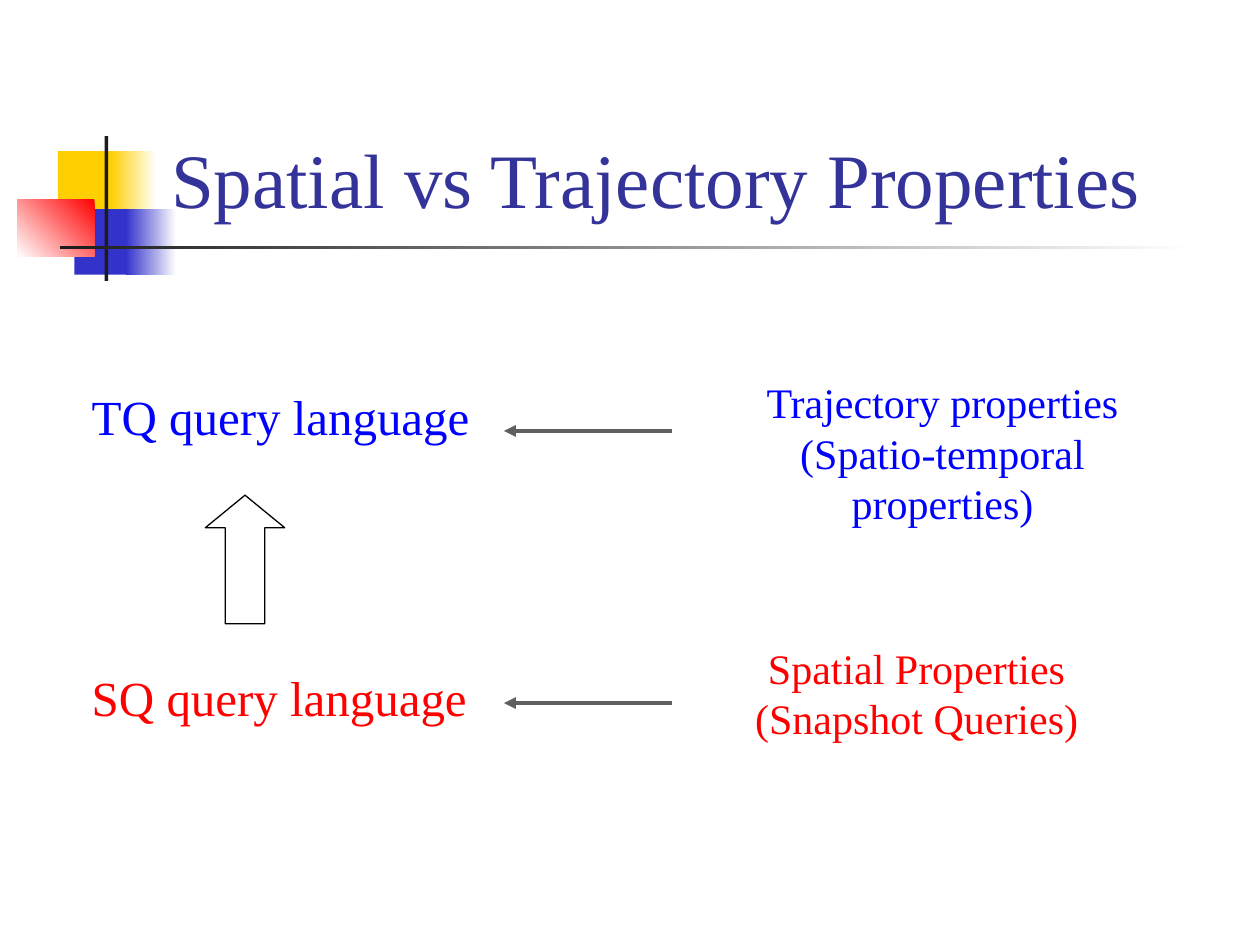
from pptx import Presentation
from pptx.dml.color import RGBColor
from pptx.enum.shapes import MSO_CONNECTOR as CONN, MSO_SHAPE as SHAPE
from pptx.enum.text import MSO_ANCHOR as ANCHOR, PP_ALIGN as ALIGN
from pptx.oxml.ns import qn
from pptx.util import Inches, Pt
from lxml.etree import SubElement

WHITE = RGBColor(0xFF, 0xFF, 0xFF)
BLACK = RGBColor(0x00, 0x00, 0x00)
YELLOW = RGBColor(0xFF, 0xCF, 0x01)
INDIGO = RGBColor(0x33, 0x33, 0xCC)
NAVY = RGBColor(0x33, 0x33, 0x99)
RED = RGBColor(0xFF, 0x00, 0x00)
BLUE = RGBColor(0x00, 0x00, 0xFF)
CHARCOAL = RGBColor(0x1C, 0x1C, 0x1C)
GRAY = RGBColor(0x5F, 0x5F, 0x5F)


class SlideBuilder:
    font = "Times New Roman"

    def __init__(self, slide):
        self.s = slide

    def shape(self, kind, x, y, w, h):
        sp = self.s.shapes.add_shape(kind, Inches(x), Inches(y), Inches(w), Inches(h))
        sp.shadow.inherit = False
        return sp

    def block(self, x, y, w, h, *colors, angle=180):
        """Borderless rectangle: one colour is solid, two make a gradient."""
        sp = self.shape(SHAPE.RECTANGLE, x, y, w, h)
        sp.line.fill.background()
        if len(colors) == 1:
            sp.fill.solid()
            sp.fill.fore_color.rgb = colors[0]
            return
        sp.fill.gradient()
        sp.fill.gradient_angle = angle
        for stop, color in zip(sp.fill.gradient_stops, colors):
            stop.color.rgb = color

    def up_arrow(self, x, y, w, h):
        sp = self.shape(SHAPE.UP_ARROW, x, y, w, h)
        sp.adjustments[1] = 0.41
        sp.fill.background()
        sp.line.color.rgb = BLACK
        sp.line.width = Pt(0.75)

    def text(self, x, y, w, h, lines, size, color, align=ALIGN.LEFT,
             anchor=ANCHOR.TOP, before=0, wrap=True):
        box = self.s.shapes.add_textbox(Inches(x), Inches(y), Inches(w), Inches(h))
        tf = box.text_frame
        tf.word_wrap = wrap
        tf.vertical_anchor = anchor
        for i, line in enumerate(lines):
            p = tf.add_paragraph() if i else tf.paragraphs[0]
            p.alignment = align
            p.space_before = Pt(before)
            r = p.add_run()
            r.text = line
            r.font.name = self.font
            r.font.size = Pt(size)
            r.font.color.rgb = color

    def arrow(self, x1, x2, y):
        c = self.s.shapes.add_connector(
            CONN.STRAIGHT, Inches(x1), Inches(y), Inches(x2), Inches(y))
        c.line.color.rgb = GRAY
        c.line.width = Pt(2.25)
        SubElement(c.line._get_or_add_ln(), qn("a:tailEnd"), type="triangle")
        SubElement(c._element.spPr, qn("a:effectLst"))


def main():
    prs = Presentation()
    prs.slide_width, prs.slide_height = Inches(10), Inches(7.5)
    b = SlideBuilder(prs.slides.add_slide(prs.slide_layouts[6]))

    # Corner ornament and title rule
    b.block(0.46, 1.2, 0.48, 0.52, YELLOW)
    b.block(0.88, 1.2, 0.36, 0.52, WHITE, YELLOW)
    b.block(0.59, 1.66, 0.46, 0.52, INDIGO)
    b.block(1, 1.66, 0.4, 0.52, WHITE, INDIGO)
    b.block(0.14, 1.58, 0.61, 0.46, RED, WHITE, angle=225)
    b.block(0.83, 1.08, 0.03, 1.15, CHARCOAL)
    b.block(0.48, 1.95, 9, 0.03, WHITE, CHARCOAL)

    b.text(1.26, 0.23, 8.52, 1.6, ["Spatial vs Trajectory Properties"], 44, NAVY,
           anchor=ANCHOR.BOTTOM)

    # Properties on the right feed the query languages on the left
    b.text(5.38, 5.05, 3.79, 0.9, ["Spatial Properties (Snapshot Queries)"], 24, RED,
           align=ALIGN.CENTER, before=15)
    b.text(5.49, 2.94, 3.98, 0.9,
           ["Trajectory properties", "(Spatio-temporal properties)"], 24, BLUE,
           align=ALIGN.CENTER, wrap=False)
    for name, color, text_y, arrow_y in (("SQ", RED, 5.25, 5.58),
                                         ("TQ", BLUE, 3.02, 3.42)):
        b.text(0.63, text_y, 3.57, 0.57, [f"{name} query language"], 28, color,
               before=17.5)
        b.arrow(5.33, 4, arrow_y)
    b.up_arrow(1.63, 3.93, 0.63, 1.02)

    prs.save("out.pptx")


if __name__ == "__main__":
    main()
